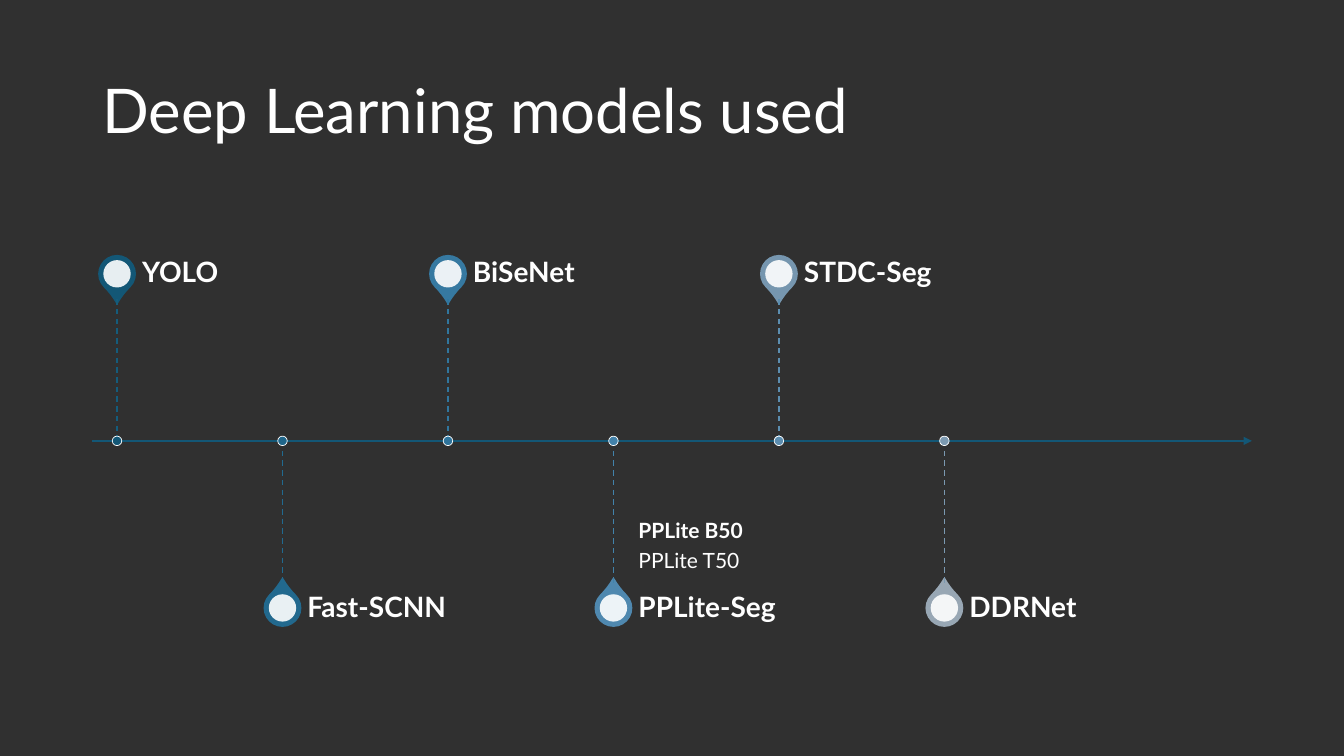
"""Build a timeline slide of the deep learning models used."""
from dataclasses import dataclass

import lxml.etree
import pptx
import pptx.dml.color
import pptx.enum.dml
import pptx.enum.shapes
import pptx.enum.text
import pptx.oxml.ns
import pptx.util

Cm = pptx.util.Cm
Pt = pptx.util.Pt
SHAPE = pptx.enum.shapes.MSO_SHAPE
ANCHOR = pptx.enum.text.MSO_ANCHOR
qn = pptx.oxml.ns.qn


@dataclass(frozen=True)
class Theme:
    font: str = "Lato"
    background: str = "303030"
    text: str = "FFFFFF"
    axis: str = "135776"
    title_size: int = 44
    label_size: int = 20
    detail_size: int = 15


THEME = Theme()

AXIS_Y = 11.11
AXIS_LEFT, AXIS_RIGHT = 2.33, 31.55
FIRST_X, STEP = 2.95, 4.17
PIN_OFFSET, STEM_LENGTH = 4.21, 3.57
PIN, DISC, DOT = 0.9, 0.69, 0.24
LABEL_GAP, LABEL_WIDTH, LABEL_HEIGHT = 0.63, 6.93, 1.24

# Each model: name, pin colour, stem colour, dot colour, variants
MODELS = [
    ("YOLO", "135776", "145C7C", "135776", []),
    ("Fast-SCNN", "22698E", "216A8F", "20668A", []),
    ("BiSeNet", "3679A1", "30769E", "2F749B", []),
    ("PPLite-Seg", "4F88AF", "4283AB", "4281A9", ["PPLite B50", "PPLite T50"]),
    ("STDC-Seg", "7696AF", "5C8EB0", "5C8DAF", []),
    ("DDRNet", "98A7B4", "7B99B1", "7C99B0", []),
]


def rgb(value):
    """Turn a hex string into a colour."""
    return pptx.dml.color.RGBColor.from_string(value)


def add_text(s, lines, left, top, width, height, *, size, bold=(False,),
             anchor=ANCHOR.MIDDLE, insets=(0, 0, 0.36, 0), space_after=0):
    """Add a text box with one paragraph per line and a bold flag for each."""
    sp = s.shapes.add_textbox(Cm(left), Cm(top), Cm(width), Cm(height))
    tf = sp.text_frame
    tf.word_wrap = True
    tf.vertical_anchor = anchor
    (tf.margin_left, tf.margin_top,
     tf.margin_right, tf.margin_bottom) = map(Cm, insets)
    for i, (line, is_bold) in enumerate(zip(lines, bold)):
        p = tf.paragraphs[0] if i == 0 else tf.add_paragraph()
        p.line_spacing = 0.9
        p.space_after = Pt(space_after)
        r = p.add_run()
        r.text = line
        r.font.name = THEME.font
        r.font.size = Pt(size)
        r.font.bold = is_bold
        r.font.color.rgb = rgb(THEME.text)


def add_line(s, x1, y1, x2, y2, color, weight, dashed=False, arrow=False):
    """Add a straight line, optionally dashed or with an arrowhead."""
    sp = s.shapes.add_connector(pptx.enum.shapes.MSO_CONNECTOR.STRAIGHT,
                                Cm(x1), Cm(y1), Cm(x2), Cm(y2))
    sp.line.color.rgb = rgb(color)
    sp.line.width = Pt(weight)
    if dashed:
        sp.line.dash_style = pptx.enum.dml.MSO_LINE.DASH
    if arrow:
        ln = sp.line._get_or_add_ln()
        lxml.etree.SubElement(ln, qn("a:tailEnd"), type="triangle")
    lxml.etree.SubElement(sp._element.spPr, qn("a:effectLst"))


def add_round(s, kind, x, y, size, fill, line=None, weight=0, alpha=None):
    """Add a filled shape centred on a point and return it."""
    sp = s.shapes.add_shape(kind, Cm(x - size / 2), Cm(y - size / 2),
                            Cm(size), Cm(size))
    sp.shadow.inherit = False
    sp.fill.solid()
    sp.fill.fore_color.rgb = rgb(fill)
    if alpha is not None:
        color = sp._element.spPr.find(qn("a:solidFill"))[0]
        lxml.etree.SubElement(color, qn("a:alpha"), val=str(alpha * 1000))
    if line:
        sp.line.color.rgb = rgb(line)
        sp.line.width = Pt(weight)
    else:
        sp.line.fill.background()
    return sp


def add_model(s, index, name, pin_color, stem_color, dot_color, variants):
    """Add one model, above the axis for even positions and below for odd."""
    side = -1 if index % 2 == 0 else 1
    x = FIRST_X + index * STEP
    pin_y = AXIS_Y + side * PIN_OFFSET
    stem_end = AXIS_Y + side * STEM_LENGTH
    text_left = x + LABEL_GAP

    pin = add_round(s, SHAPE.TEAR, x, pin_y, PIN, pin_color, pin_color, 1.5)
    pin.adjustments[0] = 1.15
    pin.rotation = 135 if side < 0 else 315
    add_round(s, SHAPE.OVAL, x, pin_y, DISC, THEME.text, alpha=90)
    if variants:
        add_text(s, variants, text_left, AXIS_Y, LABEL_WIDTH, STEM_LENGTH,
                 size=THEME.detail_size, bold=(True, False),
                 anchor=ANCHOR.BOTTOM, insets=(0, 0.41, 0, 0.25),
                 space_after=5.25)
    add_text(s, [name], text_left, pin_y - LABEL_HEIGHT / 2, LABEL_WIDTH,
             LABEL_HEIGHT, size=THEME.label_size, bold=(True,))
    add_line(s, x, min(AXIS_Y, stem_end), x, max(AXIS_Y, stem_end),
             stem_color, 1, dashed=True)
    add_round(s, SHAPE.OVAL, x, AXIS_Y, DOT, dot_color, THEME.text, 0.5)


def main():
    """Build the slide and save it."""
    prs = pptx.Presentation()
    prs.slide_width, prs.slide_height = Cm(33.87), Cm(19.05)
    s = prs.slides.add_slide(prs.slide_layouts[6])
    s.background.fill.solid()
    s.background.fill.fore_color.rgb = rgb(THEME.background)

    add_text(s, ["Deep Learning models used"], AXIS_LEFT, 1.02, 29.21, 3.68,
             size=THEME.title_size, insets=(0.25, 0.13, 0.25, 0.13))
    add_line(s, AXIS_LEFT, AXIS_Y, AXIS_RIGHT, AXIS_Y, THEME.axis, 1.5,
             arrow=True)
    for index, model in enumerate(MODELS):
        add_model(s, index, *model)
    prs.save("out.pptx")


if __name__ == "__main__":
    main()
